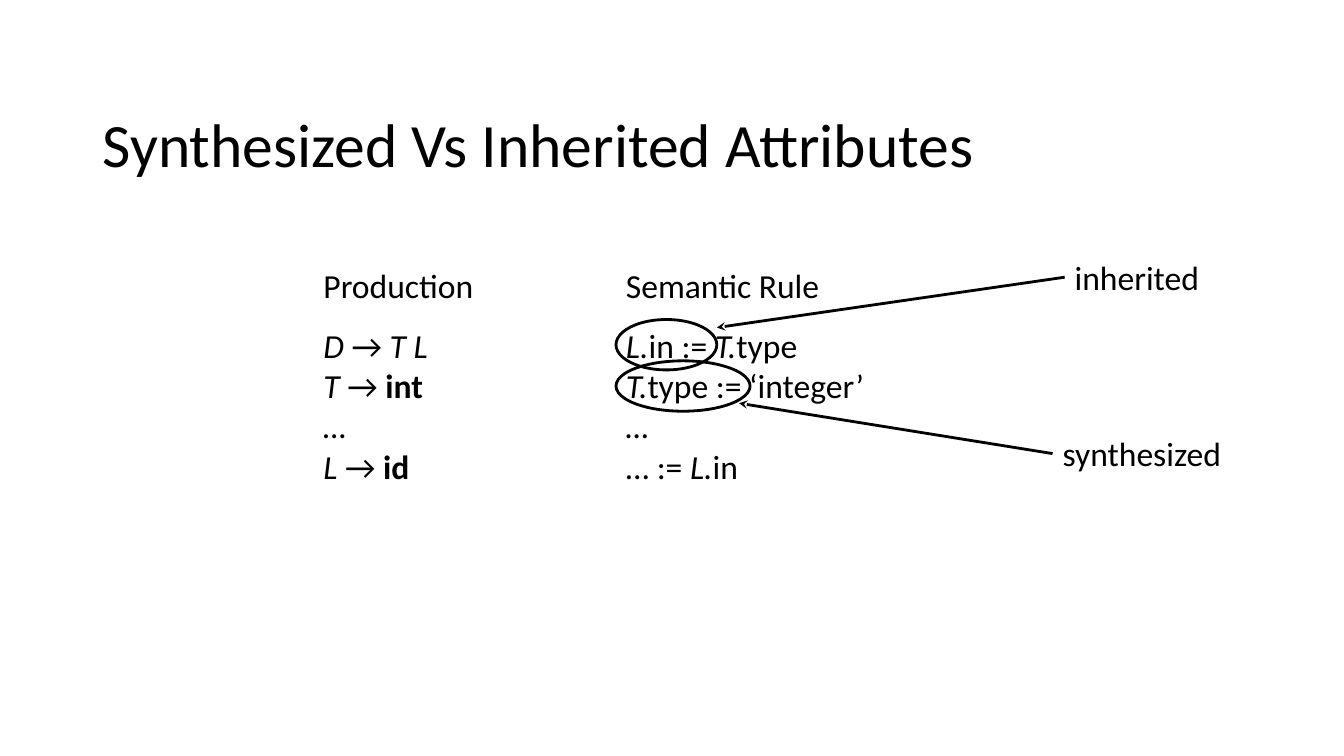
from dataclasses import dataclass
from typing import NamedTuple

from lxml.etree import SubElement
from pptx import Presentation
from pptx.dml.color import RGBColor
from pptx.enum.shapes import MSO_CONNECTOR, MSO_SHAPE
from pptx.enum.text import MSO_ANCHOR, MSO_AUTO_SIZE
from pptx.oxml.ns import qn
from pptx.slide import Slide
from pptx.text.text import TextFrame
from pptx.util import Emu, Pt

EMU_PER_PX = 9144  # 100 px to the inch


@dataclass(frozen=True)
class Theme:
    ink: RGBColor = RGBColor(0, 0, 0)
    font: str = "Calibri"
    title_size: int = 44
    body_size: int = 24
    line_width: int = 2


class Span(NamedTuple):
    text: str
    italic: bool = False
    bold: bool = False


class Box(NamedTuple):
    left: int
    top: int
    width: int
    height: int


@dataclass(frozen=True)
class Column:
    heading: str
    left: int
    heading_width: int
    rules_width: int
    rules: list[list[Span]]


@dataclass(frozen=True)
class Callout:
    """A circled attribute, and the arrow to it from its label."""
    label: str
    label_width: int
    oval: Box
    tail: tuple[int, int]
    tip: tuple[int, int]


THEME = Theme()
HEADING_TOP, RULES_TOP = 258, 317
LINE_BOX_HEIGHT, RULES_HEIGHT = 50, 172
TITLE = "Synthesized Vs Inherited Attributes"
TITLE_BOX = Box(92, 108, 1150, 76)
ARROW = Span("→ ")

COLUMNS = [
    Column("Production", 311, 170, 127, [
        [Span("D ", italic=True), ARROW, Span("T L", italic=True)],
        [Span("T ", italic=True), ARROW, Span("int", bold=True)],
        [Span("…", italic=True)],
        [Span("L ", italic=True), ARROW, Span("id", bold=True)],
    ]),
    Column("Semantic Rule", 611, 214, 259, [
        [Span("L.", italic=True), Span("in := "), Span("T.", italic=True), Span("type")],
        [Span("T.", italic=True), Span("type := ‘integer’")],
        [Span("…", italic=True)],
        [Span("… := "), Span("L.", italic=True), Span("in")],
    ]),
]

CALLOUTS = [
    Callout("inherited", 145, Box(611, 317, 100, 50), (1056, 275), (711, 325)),
    Callout("synthesized", 179, Box(611, 358, 133, 50), (1044, 450), (733, 400)),
]


def px(length: int) -> Emu:
    return Emu(length * EMU_PER_PX)


def add_text(slide: Slide, box: Box, lines: list[list[Span]], size: int) -> TextFrame:
    frame = slide.shapes.add_textbox(*map(px, box)).text_frame
    frame.word_wrap = False
    frame.auto_size = MSO_AUTO_SIZE.SHAPE_TO_FIT_TEXT
    for index, spans in enumerate(lines):
        paragraph = frame.paragraphs[0] if index == 0 else frame.add_paragraph()
        for span in spans:
            run = paragraph.add_run()
            run.text = span.text
            run.font.name = THEME.font
            run.font.size = Pt(size)
            run.font.color.rgb = THEME.ink
            run.font.italic = span.italic
            run.font.bold = span.bold
    return frame


def add_title(slide: Slide) -> None:
    frame = add_text(slide, TITLE_BOX, [[Span(TITLE)]], THEME.title_size)
    frame.word_wrap = True
    frame.auto_size = MSO_AUTO_SIZE.NONE
    frame.vertical_anchor = MSO_ANCHOR.MIDDLE
    frame.paragraphs[0].line_spacing = 0.9


def add_column(slide: Slide, column: Column) -> None:
    heading_box = Box(column.left, HEADING_TOP, column.heading_width, LINE_BOX_HEIGHT)
    rules_box = Box(column.left, RULES_TOP, column.rules_width, RULES_HEIGHT)
    add_text(slide, heading_box, [[Span(column.heading)]], THEME.body_size)
    add_text(slide, rules_box, column.rules, THEME.body_size)


def add_oval(slide: Slide, box: Box) -> None:
    oval = slide.shapes.add_shape(MSO_SHAPE.OVAL, *map(px, box))
    oval.shadow.inherit = False
    oval.fill.background()
    oval.line.color.rgb = THEME.ink
    oval.line.width = Pt(THEME.line_width)


def add_arrow(slide: Slide, tail: tuple[int, int], tip: tuple[int, int]) -> None:
    arrow = slide.shapes.add_connector(MSO_CONNECTOR.STRAIGHT, *map(px, tail + tip))
    arrow.line.color.rgb = THEME.ink
    arrow.line.width = Pt(THEME.line_width)
    SubElement(arrow.line._get_or_add_ln(), qn("a:tailEnd"), type="stealth")
    SubElement(arrow._element.spPr, qn("a:effectLst"))


def add_callout(slide: Slide, callout: Callout) -> None:
    add_oval(slide, callout.oval)
    add_arrow(slide, callout.tail, callout.tip)
    left, middle = callout.tail
    label_box = Box(left, middle - LINE_BOX_HEIGHT // 2, callout.label_width, LINE_BOX_HEIGHT)
    add_text(slide, label_box, [[Span(callout.label)]], THEME.body_size)


def main() -> None:
    deck = Presentation()
    deck.slide_width, deck.slide_height = px(1333), px(750)
    slide = deck.slides.add_slide(deck.slide_layouts[6])
    add_title(slide)
    for column in COLUMNS:
        add_column(slide, column)
    for callout in CALLOUTS:
        add_callout(slide, callout)
    deck.save("out.pptx")


if __name__ == "__main__":
    main()
